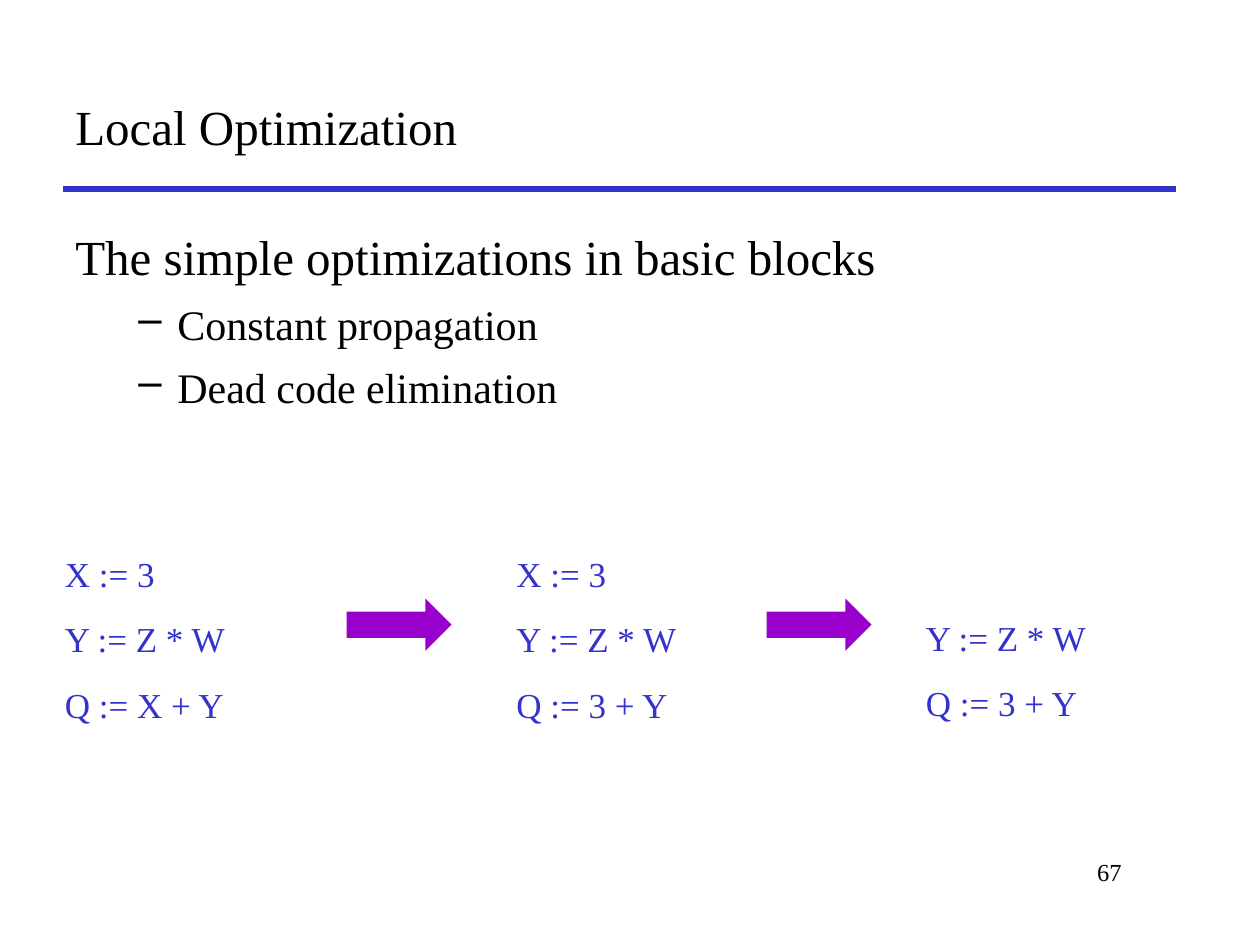
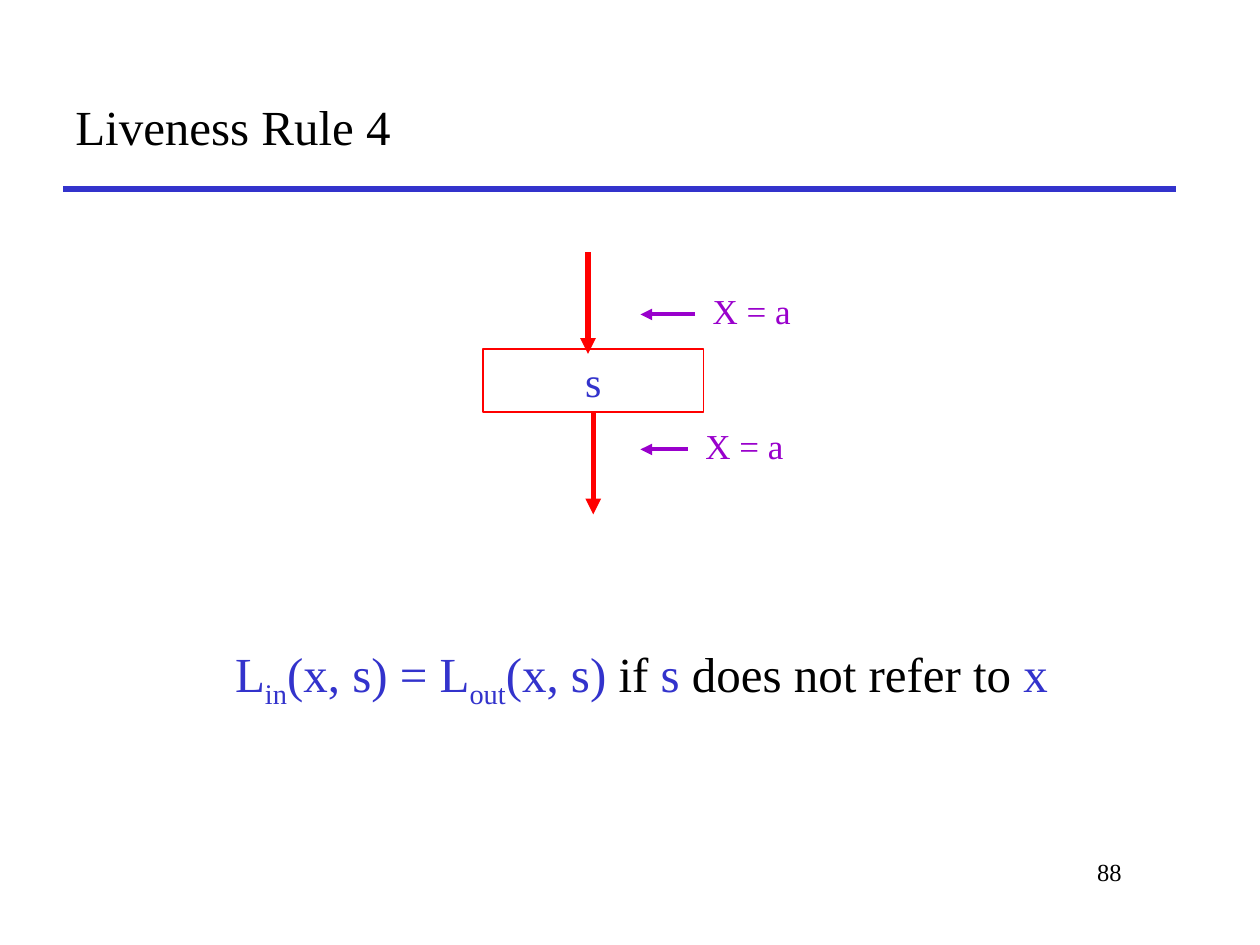
"""Build two compiler lecture slides: local optimization and liveness rule 4."""
from dataclasses import dataclass
from typing import Any, Optional

from pptx import Presentation
from pptx.dml.color import RGBColor
from pptx.enum.shapes import MSO_CONNECTOR, MSO_SHAPE
from pptx.enum.text import MSO_ANCHOR, PP_ALIGN
from pptx.oxml.ns import qn
from pptx.shapes.autoshape import Shape
from pptx.shapes.connector import Connector
from pptx.slide import Slide
from pptx.util import Emu, Inches, Pt
from lxml import etree

BLACK = RGBColor(0x00, 0x00, 0x00)
BLUE = RGBColor(0x33, 0x33, 0xCC)
PURPLE = RGBColor(0x99, 0x00, 0xCC)
RED = RGBColor(0xFF, 0x00, 0x00)

STRAIGHT = MSO_CONNECTOR.STRAIGHT
RECTANGLE, BLOCK_ARROW = MSO_SHAPE.RECTANGLE, MSO_SHAPE.RIGHT_ARROW
TOP, MIDDLE = MSO_ANCHOR.TOP, MSO_ANCHOR.MIDDLE
LEFT, CENTER, RIGHT = PP_ALIGN.LEFT, PP_ALIGN.CENTER, PP_ALIGN.RIGHT
BOTTOM_SIDE = 2

FONT = "Times New Roman"
SLIDE_WIDTH, SLIDE_HEIGHT = Inches(10), Inches(7.5)
COLUMNS, ROWS = 120, 90
CODE_TOP, CODE_LINE_ROWS = 52, 6.1
BLOCK_ARROW_GAP = 15


@dataclass(frozen=True)
class Area:
    """Place and size in grid columns and rows."""
    column: float
    row: float
    width: float
    height: float


@dataclass(frozen=True)
class Span:
    """Run of text in one format."""
    text: str
    color: RGBColor = BLACK
    baseline: int = 0


@dataclass(frozen=True)
class Para:
    """Paragraph with its size, spacing and optional dash."""
    spans: tuple[Span, ...]
    size: float
    before: float = 0
    align: PP_ALIGN = LEFT
    dash: bool = False


@dataclass(frozen=True)
class CodeStep:
    """Code column, with the number of lines left out at its top."""
    column: float
    lines: tuple[str, ...]
    skipped: int = 0


@dataclass(frozen=True)
class Fact:
    """Labelled program point beside the flow."""
    column: float
    row: float
    width: float


TITLE_AREA = Area(6, 6, 106, 12)
NUMBER_AREA = Area(83, 81, 25, 6)
BODY_AREA = Area(6, 21, 109, 23)
FORMULA_AREA = Area(6.6, 60.7, 109, 18)
STATEMENT_AREA = Area(46, 33.25, 21, 6)

CODE_STEPS = (
    CodeStep(5, ("X := 3", "Y := Z * W", "Q := X + Y")),
    CodeStep(48, ("X := 3", "Y := Z * W", "Q := 3 + Y")),
    CodeStep(87, ("Y := Z * W", "Q := 3 + Y"), skipped=1),
)
FACTS = (Fact(66.7, 27, 18.2), Fact(66, 39.85, 16))
FORMULA = (
    Span("L", BLUE), Span("in", BLUE, -25000), Span("(x, s) = L", BLUE),
    Span("out", BLUE, -25000), Span("(x, s)", BLUE), Span(" if "),
    Span("s", BLUE), Span(" does not refer to"), Span(" x", BLUE),
)


def across(columns: float) -> Emu:
    """Turn grid columns into a length."""
    return Emu(round(SLIDE_WIDTH * columns / COLUMNS))


def down(rows: float) -> Emu:
    """Turn grid rows into a length."""
    return Emu(round(SLIDE_HEIGHT * rows / ROWS))


def place(area: Area) -> tuple[Emu, Emu, Emu, Emu]:
    """Turn an area into left, top, width and height."""
    return across(area.column), down(area.row), across(area.width), down(area.height)


def set_format(target: Any, formats: dict[str, Any]) -> None:
    """Set every named attribute of a target."""
    for name, value in formats.items():
        setattr(target, name, value)


def write(box: Shape, paras: list[Para], anchor: MSO_ANCHOR = TOP) -> None:
    """Fill a shape with paragraphs."""
    frame = box.text_frame
    set_format(frame, {"word_wrap": True, "vertical_anchor": anchor})
    for index, para in enumerate(paras):
        paragraph = frame.add_paragraph() if index else frame.paragraphs[0]
        set_format(paragraph, {"alignment": para.align})
        if index:
            paragraph.space_before = Pt(para.before)
        if para.dash:
            properties = paragraph._p.get_or_add_pPr()
            properties.set("marL", str(Inches(0.81)))
            properties.set("indent", str(Inches(-0.31)))
            etree.SubElement(properties, qn("a:buChar")).set("char", "–")
        for span in para.spans:
            run = paragraph.add_run()
            run.text = span.text
            set_format(run.font, {"name": FONT, "size": Pt(para.size)})
            run.font.color.rgb = span.color
            if span.baseline:
                run._r.get_or_add_rPr().set("baseline", str(span.baseline))


def add_text(page: Slide, area: Area, paras: list[Para], anchor: MSO_ANCHOR = TOP) -> None:
    """Add a text box."""
    write(page.shapes.add_textbox(*place(area)), paras, anchor)


def add_figure(page: Slide, kind: MSO_SHAPE, area: Area,
               fill: Optional[RGBColor] = None, outline: Optional[RGBColor] = None) -> Shape:
    """Add a preset shape with a fill or an outline."""
    figure = page.shapes.add_shape(kind, *place(area))
    figure.shadow.inherit = False
    if fill is None:
        figure.fill.background()
    else:
        figure.fill.solid()
        figure.fill.fore_color.rgb = fill
    if outline is None:
        figure.line.fill.background()
    else:
        figure.line.color.rgb = outline
        figure.line.width = Pt(0.75)
    return figure


def add_line(page: Slide, start: tuple[float, float], end: tuple[float, float],
             color: RGBColor, weight: float, arrow: bool = True) -> Connector:
    """Add a straight line, with an arrowhead at its end if wanted."""
    line = page.shapes.add_connector(
        STRAIGHT, across(start[0]), down(start[1]), across(end[0]), down(end[1]))
    line.line.color.rgb = color
    line.line.width = Pt(weight)
    if arrow:
        etree.SubElement(line.line._get_or_add_ln(), qn("a:tailEnd")).set("type", "triangle")
    etree.SubElement(line._element.spPr, qn("a:effectLst"))
    return line


def add_page(deck: Any, title: str, number: int) -> Slide:
    """Add a blank page with the shared rule, title and number."""
    page = deck.slides.add_slide(deck.slide_layouts[6])
    add_line(page, (6, 18), (112, 18), BLUE, 3, arrow=False)
    add_text(page, NUMBER_AREA, [Para((Span(str(number)),), 14, align=RIGHT)])
    add_text(page, TITLE_AREA, [Para((Span(title),), 28)], MIDDLE)
    return page


def build_optimization(deck: Any) -> None:
    """Build the page that rewrites code in two steps."""
    page = add_page(deck, "Local Optimization", 67)
    topics = ("Constant propagation", "Dead code elimination")
    add_text(page, BODY_AREA, [
        Para((Span("The simple optimizations in basic blocks"),), 28),
        *(Para((Span(topic),), 24, before=7.25, dash=True) for topic in topics),
    ])
    for step in CODE_STEPS:
        shift = step.skipped * CODE_LINE_ROWS
        area = Area(step.column, CODE_TOP + shift, 23, 17.4 - shift)
        add_text(page, area, [Para((Span(line, BLUE),), 20, 13.5) for line in step.lines])
    for step, gap in zip(CODE_STEPS[1:], (BLOCK_ARROW_GAP, BLOCK_ARROW_GAP - 1)):
        add_figure(page, BLOCK_ARROW, Area(step.column - gap, 57, 10, 5), fill=PURPLE)


def build_liveness(deck: Any) -> None:
    """Build the page that shows facts around a statement."""
    page = add_page(deck, "Liveness Rule 4", 88)
    add_text(page, FORMULA_AREA, [Para(FORMULA, 28, align=CENTER)])
    statement = add_figure(page, RECTANGLE, STATEMENT_AREA, outline=RED)
    write(statement, [Para((Span("s", BLUE),), 24, align=CENTER)])
    middle = STATEMENT_AREA.column + STATEMENT_AREA.width / 2
    bottom = STATEMENT_AREA.row + STATEMENT_AREA.height
    add_line(page, (56, 24), (56, 33.7), RED, 3)
    outflow = add_line(page, (middle, bottom), (middle, 49), RED, 3)
    outflow.begin_connect(statement, BOTTOM_SIDE)
    for fact in FACTS:
        area = Area(fact.column, fact.row, fact.width, 5.3)
        add_text(page, area, [Para((Span("X = a", PURPLE),), 20)])
        level = fact.row + 2.95
        add_line(page, (fact.column - 0.5, level), (61, level), PURPLE, 2.25)


def main() -> None:
    """Build and save the deck."""
    deck = Presentation()
    set_format(deck, {"slide_width": SLIDE_WIDTH, "slide_height": SLIDE_HEIGHT})
    build_optimization(deck)
    build_liveness(deck)
    deck.save("out.pptx")


if __name__ == "__main__":
    main()
